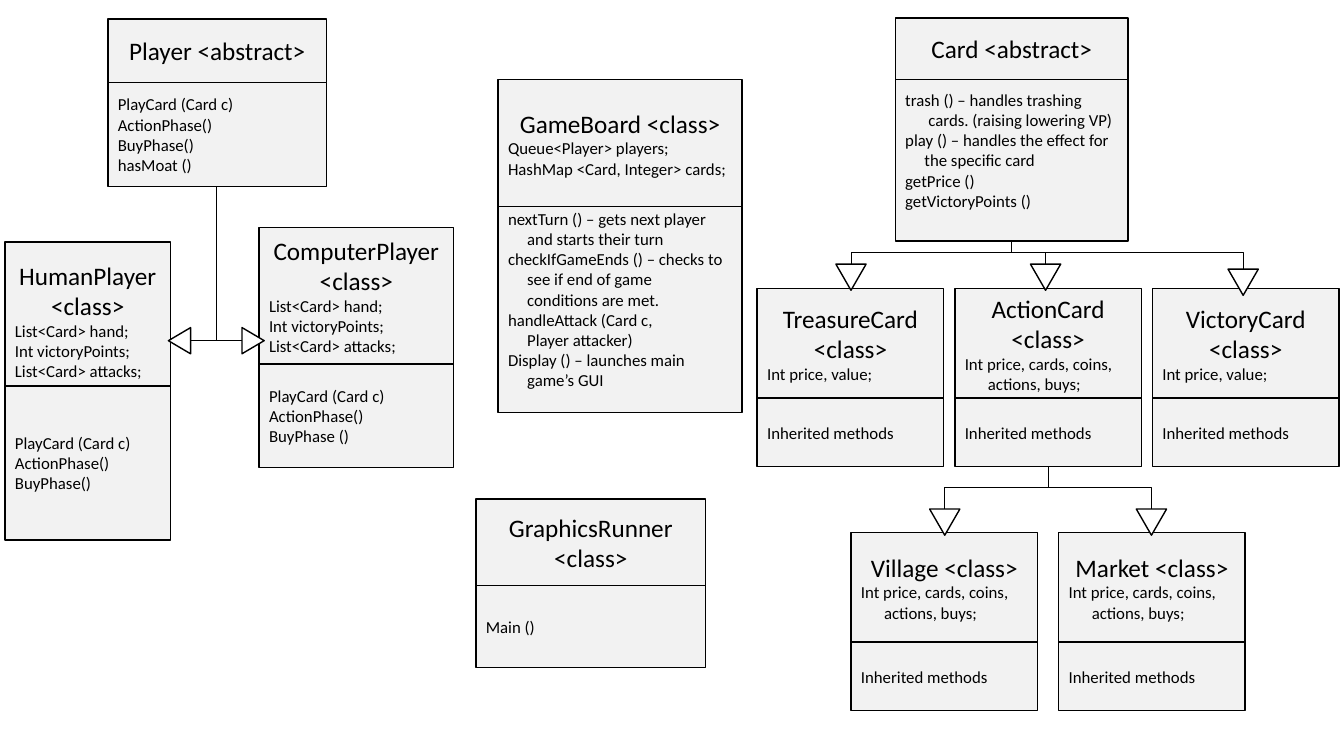
import pptx
import pptx.dml.color
import pptx.enum.shapes
import pptx.enum.text
import pptx.util
from lxml import etree
from pptx.oxml.ns import qn

Inches = pptx.util.Inches
Pt = pptx.util.Pt
SHAPES = pptx.enum.shapes.MSO_SHAPE
ALIGN = pptx.enum.text.PP_ALIGN
INDENT, WIDE_INDENT = 0.19, 0.23
LINE_HEIGHT = 0.2


def color(hex_code):
    return pptx.dml.color.RGBColor.from_string(hex_code)


class ClassDiagram:
    ink, box_fill, arrow_fill = "000000", "F2F2F2", "FFFFFF"
    font, title_size, member_size = "Calibri", 18, 12
    box_line, link_line = 1, 0.5

    def __init__(self, page):
        self.page = page

    def outlined(self, shapes, kind, frame, fill):
        shape = shapes.add_shape(kind, *(Inches(length) for length in frame))
        shape.shadow.inherit = False
        shape.fill.solid()
        shape.fill.fore_color.rgb = color(fill)
        shape.line.color.rgb = color(self.ink)
        shape.line.width = Pt(self.box_line)
        return shape

    def compartment(self, shapes, frame, title, members, spare_lines=0):
        """Draw one box; a member is a text or a (text, indent) pair."""
        box = self.outlined(shapes, SHAPES.RECTANGLE, frame, self.box_fill)
        text_format = {
            "word_wrap": True,
            "vertical_anchor": pptx.enum.text.MSO_ANCHOR.MIDDLE,
            "margin_bottom": Inches(0.05 + spare_lines * LINE_HEIGHT),
        }
        for name, value in text_format.items():
            setattr(box.text_frame, name, value)
        rows = [(title, 0, self.title_size, ALIGN.CENTER)] if title else []
        for member in members:
            text, indent = (member, 0) if isinstance(member, str) else member
            rows.append((text, indent, self.member_size, ALIGN.LEFT))
        for index, (text, indent, size, alignment) in enumerate(rows):
            para = box.text_frame.add_paragraph() if index else box.text_frame.paragraphs[0]
            para.alignment = alignment
            if indent:
                para._p.get_or_add_pPr().set("marL", str(Inches(indent)))
            span = para.add_run()
            span.text = text
            for name, value in {"name": self.font, "size": Pt(size)}.items():
                setattr(span.font, name, value)
            span.font.color.rgb = color(self.ink)

    def class_box(self, place, heights, title, fields, methods, overlap=0, spare_lines=0):
        """Group a title compartment and the methods compartment under it."""
        left, top, width = place
        head, body = heights
        shapes = self.page.shapes.add_group_shape().shapes
        self.compartment(shapes, (left, top, width, head), title, fields)
        self.compartment(shapes, (left, top + head - overlap, width, body),
                         None, methods, spare_lines)

    def card_box(self, left, top, name, fields):
        self.class_box((left, top, 1.85), (1.09, 0.68), f"{name} <class>",
                       fields, ["Inherited methods"])

    def triangle(self, center, size, rotation):
        (x, y), (width, height) = center, size
        frame = (x - width / 2, y - height / 2, width, height)
        arrow = self.outlined(self.page.shapes, SHAPES.ISOSCELES_TRIANGLE,
                              frame, self.arrow_fill)
        arrow.rotation = rotation

    def elbow(self, start, end, bend=None):
        """Link that leaves downwards, turning once, or twice if bend is given."""
        (x1, y1), (x2, y2) = start, end
        across, down = abs(x2 - x1), y2 - y1
        left, top = (x1 + x2 - down) / 2, (y1 + y2 - across) / 2
        corners = (left, top, left + down, top + across)
        link = self.page.shapes.add_connector(
            pptx.enum.shapes.MSO_CONNECTOR.ELBOW, *(Inches(length) for length in corners))
        link.line.color.rgb = color(self.ink)
        link.line.width = Pt(self.link_line)
        properties = link._element.spPr
        etree.SubElement(properties, qn("a:effectLst"))
        frame = properties.find(qn("a:xfrm"))
        frame.set("rot", str((90 if x2 < x1 else 270) * 60000))
        if x2 > x1:
            frame.set("flipH", "1")
        geometry = properties.find(qn("a:prstGeom"))
        if bend is None:
            geometry.set("prst", "bentConnector2")
        else:
            guides = geometry.find(qn("a:avLst"))
            etree.SubElement(guides, qn("a:gd"), name="adj1",
                             fmla=f"val {round(bend / down * 100000)}")

    def subclass_arrows(self, start, ends, bend):
        width, height = 0.3, 0.26
        for x, y in ends:
            self.triangle((x, y + height / 2), (width, height), 180)
            self.elbow(start, (x, y), bend)


def draw_players(diagram):
    hand = ["List<Card> hand;", "Int victoryPoints;", "List<Card> attacks;"]
    turn = ["PlayCard (Card c)", "ActionPhase()"]
    diagram.class_box((1.07, 0.19, 2.17), (0.63, 1.03), "Player <abstract>",
                      [], turn + ["BuyPhase()", "hasMoat ()"])
    diagram.class_box((0.05, 2.4, 1.64), (1.56, 1.53), "HumanPlayer <class>",
                      hand, turn + ["BuyPhase()"], overlap=0.13)
    diagram.class_box((2.57, 2.26, 1.93), (1.35, 1.03), "ComputerPlayer <class>",
                      hand, turn + ["BuyPhase ()"])
    for arrow_x, link_x, rotation in [(1.78, 1.89, 270), (2.51, 2.4, 90)]:
        diagram.triangle((arrow_x, 3.38), (0.26, 0.22), rotation)
        diagram.elbow((2.15, 1.85), (link_x, 3.38))


def draw_game(diagram):
    diagram.class_box(
        (4.94, 0.79, 2.42), (1.26, 2.04), "GameBoard <class>",
        ["Queue<Player> players;", "HashMap <Card, Integer> cards;"],
        ["nextTurn () – gets next player", ("and starts their turn", INDENT),
         "checkIfGameEnds () – checks to", ("see if end of game", INDENT),
         ("conditions are met.", INDENT),
         "handleAttack (Card c,", ("Player attacker)", INDENT),
         "Display () – launches main", ("game’s GUI", INDENT)],
        spare_lines=1)
    diagram.class_box((4.72, 4.95, 2.28), (0.86, 0.81), "GraphicsRunner <class>",
                      [], ["Main ()"])


def draw_cards(diagram):
    diagram.class_box(
        (8.88, 0.18, 2.31), (0.61, 1.6), "Card <abstract>", [],
        ["trash () – handles trashing", ("cards. (raising lowering VP)", WIDE_INDENT),
         "play () – handles the effect for", ("the specific card", INDENT),
         "getPrice ()", "getVictoryPoints ()"],
        spare_lines=1)
    value = ["Int price, value;"]
    bonuses = ["Int price, cards, coins,", ("actions, buys;", WIDE_INDENT)]
    card_types = [("TreasureCard", value), ("ActionCard", bonuses), ("VictoryCard", value)]
    for index, (name, fields) in enumerate(card_types):
        diagram.card_box(7.51 + index * 1.96, 2.86, name, fields)
    for index, name in enumerate(["Village", "Market"]):
        diagram.card_box(8.44 + index * 2.06, 5.28, name, bonuses)
    diagram.subclass_arrows((10.03, 2.39), [(8.44, 2.62), (10.37, 2.62), (12.33, 2.67)], 0.11)
    diagram.subclass_arrows((10.4, 4.63), [(9.37, 5.05), (11.42, 5.05)], 0.21)


def main():
    deck = pptx.Presentation()
    deck.slide_width, deck.slide_height = Inches(13.33), Inches(7.5)
    diagram = ClassDiagram(deck.slides.add_slide(deck.slide_layouts[6]))
    draw_players(diagram)
    draw_game(diagram)
    draw_cards(diagram)
    deck.save("out.pptx")


if __name__ == "__main__":
    main()
